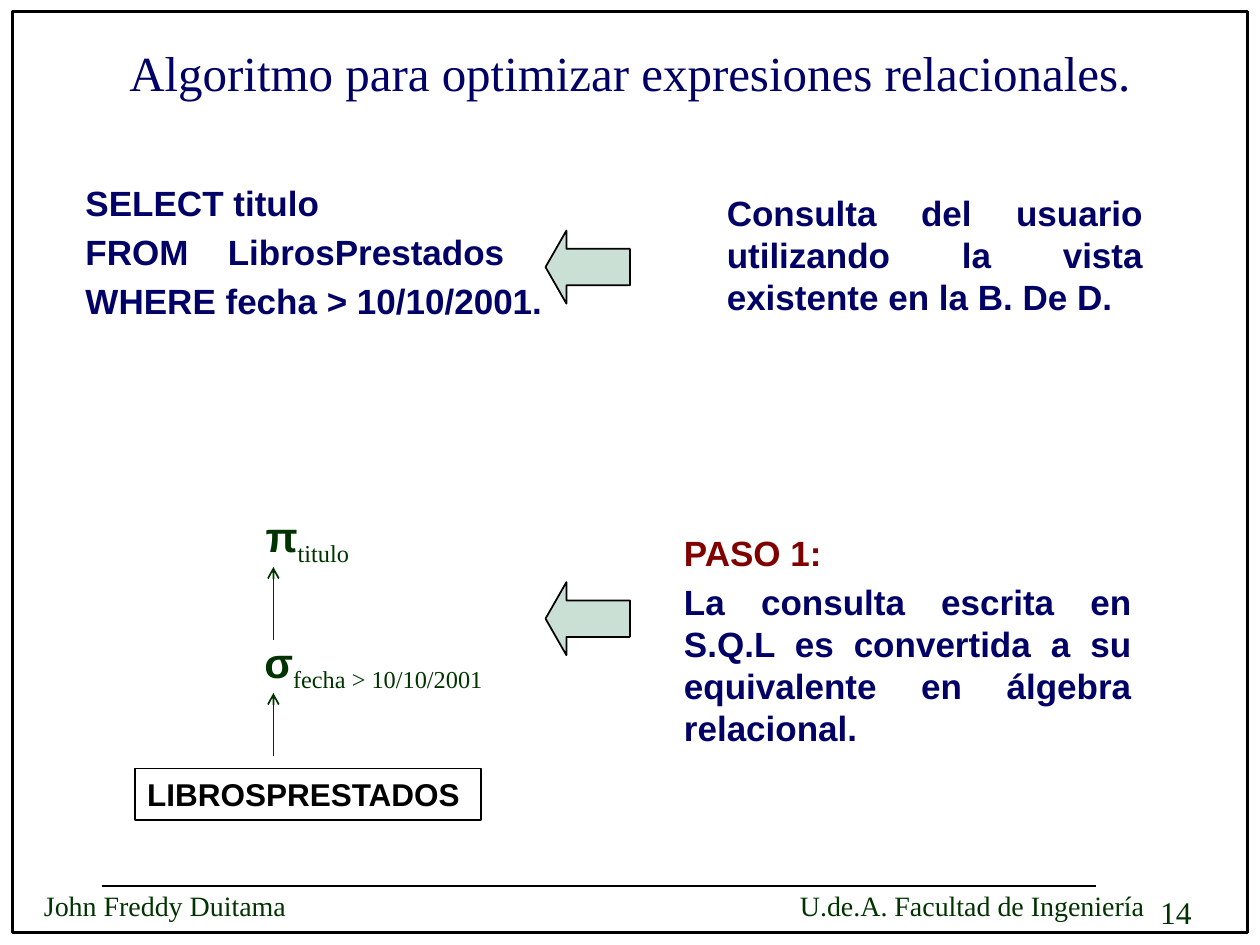
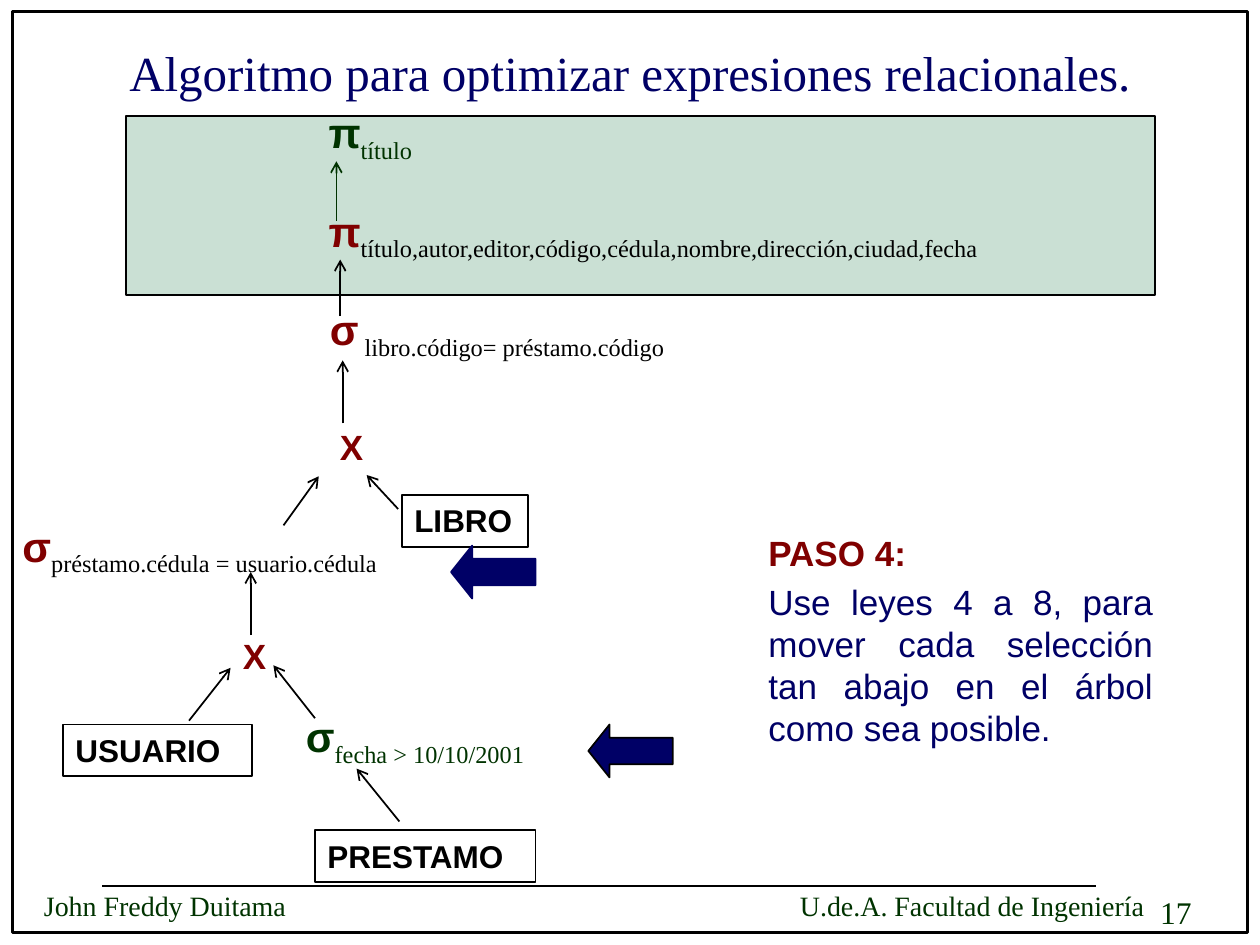
from dataclasses import dataclass

import lxml.etree
import pptx
import pptx.dml.color
import pptx.enum.shapes
import pptx.enum.text
import pptx.oxml.ns
import pptx.util

Inches = pptx.util.Inches
Align = pptx.enum.text.PP_ALIGN
Shapes = pptx.enum.shapes.MSO_SHAPE
qn = pptx.oxml.ns.qn

COLORS = {
    "navy": "000066",
    "green": "003300",
    "maroon": "800000",
    "mint": "CAE0D4",
    "black": "000000",
}
SANS, SERIF = "Arial", "Times New Roman"
TITLE = "Algoritmo para optimizar expresiones relacionales."


@dataclass
class Formula:
    """An operator of the query tree with its subscript."""
    left: float
    top: float
    symbol: str
    subscript: str
    color: str = "maroon"
    subscript_color: str = "black"


@dataclass
class Relation:
    left: float
    top: float
    width: float
    name: str


@dataclass
class TreeArrow:
    """A thin arrow whose head is at (x2, y2)."""
    x1: float
    y1: float
    x2: float
    y2: float
    color: str = "black"


@dataclass
class Pointer:
    """A block arrow pointing left."""
    left: float
    top: float
    height: float
    head: float
    fill: str
    line: str = "black"


@dataclass
class Line:
    """One paragraph of a text block."""
    text: str
    color: str = "navy"
    bold: bool = True
    tab: float = 0


def rgb(name: str) -> pptx.dml.color.RGBColor:
    return pptx.dml.color.RGBColor.from_string(COLORS[name])


# ---- Text ----
def write(paragraph, text: str, *, size: float = 20, font: str = SANS, color: str = "navy",
          bold: bool = False, align=Align.LEFT, before: float = 0, baseline: int = 0,
          tab: float = 0) -> None:
    run = paragraph.add_run()
    run.text = text
    run.font.size = pptx.util.Pt(size)
    run.font.name = font
    run.font.bold = bold
    run.font.color.rgb = rgb(color)
    paragraph.alignment = align
    paragraph.space_before = pptx.util.Pt(before)
    if baseline:
        run._r.get_or_add_rPr().set("baseline", str(baseline * 1000))
    if tab:
        stops = lxml.etree.SubElement(paragraph._p.get_or_add_pPr(), qn("a:tabLst"))
        lxml.etree.SubElement(stops, qn("a:tab"), pos=str(Inches(tab)), algn="l")


def add_text_frame(slide, left: float, top: float, width: float, height: float):
    box = slide.shapes.add_textbox(Inches(left), Inches(top), Inches(width), Inches(height))
    box.text_frame.word_wrap = True
    return box.text_frame


def add_text_block(slide, left: float, top: float, width: float, height: float,
                   lines: list[Line]) -> None:
    frame = add_text_frame(slide, left, top, width, height)
    for index, line in enumerate(lines):
        paragraph = frame.add_paragraph() if index else frame.paragraphs[0]
        write(paragraph, line.text, color=line.color, bold=line.bold, tab=line.tab,
              align=Align.JUSTIFY, before=4)


# ---- Shapes ----
def add_shape(slide, kind, left: float, top: float, width: float, height: float, *,
              fill: str = "", line: str = "black", weight: float = 1):
    shape = slide.shapes.add_shape(kind, Inches(left), Inches(top), Inches(width), Inches(height))
    shape.shadow.inherit = False
    if fill:
        shape.fill.solid()
        shape.fill.fore_color.rgb = rgb(fill)
    else:
        shape.fill.background()
    shape.line.color.rgb = rgb(line)
    shape.line.width = pptx.util.Pt(weight)
    return shape


def add_line(slide, x1: float, y1: float, x2: float, y2: float, *,
             color: str = "black", arrow: bool = False) -> None:
    connector = slide.shapes.add_connector(pptx.enum.shapes.MSO_CONNECTOR.STRAIGHT,
                                           Inches(x1), Inches(y1), Inches(x2), Inches(y2))
    connector.line.color.rgb = rgb(color)
    connector.line.width = pptx.util.Pt(1)
    properties = connector._element.spPr
    if arrow:
        lxml.etree.SubElement(properties.find(qn("a:ln")), qn("a:tailEnd"), type="arrow")
    lxml.etree.SubElement(properties, qn("a:effectLst"))


# ---- Parts of the query tree ----
def add_formula(slide, formula: Formula) -> None:
    paragraph = add_text_frame(slide, formula.left, formula.top, 6.5, 0.5).paragraphs[0]
    write(paragraph, formula.symbol, size=24, color=formula.color, bold=True)
    write(paragraph, formula.subscript, size=24, font=SERIF, color=formula.subscript_color,
          baseline=-25, align=Align.JUSTIFY, before=4.8)


def add_relation(slide, relation: Relation) -> None:
    shape = add_shape(slide, Shapes.RECTANGLE, relation.left, relation.top, relation.width, 0.41)
    frame = shape.text_frame
    frame.word_wrap = True
    frame.vertical_anchor = pptx.enum.text.MSO_ANCHOR.TOP
    write(frame.paragraphs[0], relation.name, size=18, color="black", bold=True,
          align=Align.JUSTIFY, before=3.6)


def add_product(slide, left: float, top: float) -> None:
    frame = add_text_frame(slide, left, top, 0.5, 0.43)
    write(frame.paragraphs[0], "X", color="maroon", bold=True, align=Align.JUSTIFY, before=4)


def add_tree_arrow(slide, arrow: TreeArrow) -> None:
    add_line(slide, arrow.x1, arrow.y1, arrow.x2, arrow.y2, color=arrow.color, arrow=True)


def add_pointer(slide, pointer: Pointer) -> None:
    shape = add_shape(slide, Shapes.LEFT_ARROW, pointer.left, pointer.top, 0.67, pointer.height,
                      fill=pointer.fill, line=pointer.line)
    shape.adjustments[0] = 0.5
    shape.adjustments[1] = pointer.head


# ---- Frame, footer and title of every slide ----
def add_base_slide(presentation, number: int):
    slide = presentation.slides.add_slide(presentation.slide_layouts[5])
    add_shape(slide, Shapes.RECTANGLE, 0.1, 0.09, 9.8, 7.31, weight=2)
    page = add_text_frame(slide, 9.11, 7.04, 0.77, 0.4)
    write(page.paragraphs[0], str(number), size=18, font=SERIF, color="green")
    footer = add_text_frame(slide, 0.25, 7, 9.25, 0.38)
    write(footer.paragraphs[0], "John Freddy Duitama\tU.de.A. Facultad de Ingeniería",
          size=16, font=SERIF, color="green", tab=6)
    add_line(slide, 0.81, 7.03, 8.7, 7.03)

    title = slide.shapes.title
    title.left, title.top = Inches(0.75), Inches(0.28)
    title.width, title.height = Inches(8.5), Inches(0.58)
    title.text_frame.auto_size = pptx.enum.text.MSO_AUTO_SIZE.NONE
    title.text_frame.vertical_anchor = pptx.enum.text.MSO_ANCHOR.MIDDLE
    write(title.text_frame.paragraphs[0], TITLE, size=28, font=SERIF, align=Align.CENTER)
    return slide


def build_step_one(presentation) -> None:
    slide = add_base_slide(presentation, 14)

    # Query tree
    add_relation(slide, Relation(1.07, 6.1, 2.75, "LIBROSPRESTADOS"))
    for formula in (
        Formula(2.01, 4, "π", "titulo", "green", "green"),
        Formula(2, 5, "σ", "fecha > 10/10/2001", "green", "green"),
    ):
        add_formula(slide, formula)
    for start, end in ((5.08, 4.5), (6, 5.5)):
        add_tree_arrow(slide, TreeArrow(2.17, start, 2.17, end, "green"))

    # Query and explanations
    add_text_block(slide, 5.67, 1.47, 3.5, 1.1, [
        Line("Consulta del usuario utilizando la vista existente en la B. De D."),
    ])
    add_text_block(slide, 5.33, 4.17, 3.75, 1.83, [
        Line("PASO 1:", "maroon"),
        Line("La consulta escrita en S.Q.L es convertida a su equivalente en álgebra relacional."),
    ])
    add_text_block(slide, 0.58, 1.39, 4.25, 2.11, [
        Line("SELECT titulo"),
        Line("FROM\tLibrosPrestados", tab=1.13),
        Line("WHERE fecha > 10/10/2001."),
    ])
    for top in (1.83, 4.62):
        add_pointer(slide, Pointer(4.33, top, 0.58, 0.286, "mint"))


def build_step_four(presentation) -> None:
    slide = add_base_slide(presentation, 17)
    add_shape(slide, Shapes.RECTANGLE, 1, 0.92, 8.17, 1.42, fill="mint")

    # Query tree
    for left, top in ((2.6, 3.33), (1.83, 4.99)):
        add_product(slide, left, top)
    for relation in (
        Relation(3.19, 3.93, 1, "LIBRO"),
        Relation(2.5, 6.59, 1.75, "PRESTAMO"),
        Relation(0.5, 5.75, 1.5, "USUARIO"),
    ):
        add_relation(slide, relation)
    for formula in (
        Formula(2.51, 0.8, "π", "título", "green", "green"),
        Formula(2.51, 1.58, "π", "título,autor,editor,código,cédula,nombre,dirección,ciudad,fecha"),
        Formula(2.52, 2.36, "σ", " libro.código= préstamo.código"),
        Formula(0.08, 4.08, "σ", "préstamo.cédula = usuario.cédula"),
        Formula(2.33, 5.59, "σ", "fecha > 10/10/2001", "green", "green"),
    ):
        add_formula(slide, formula)
    for arrow in (
        TreeArrow(2.67, 1.75, 2.67, 1.28, "green"),
        TreeArrow(2.7, 2.51, 2.7, 2.06),
        TreeArrow(2.72, 3.36, 2.72, 2.86),
        TreeArrow(2.25, 4.17, 2.53, 3.78),
        TreeArrow(3.16, 4.04, 2.91, 3.77),
        TreeArrow(1.99, 5.04, 1.99, 4.54),
        TreeArrow(1.5, 5.72, 1.83, 5.3),
        TreeArrow(2.5, 5.7, 2.17, 5.28),
        TreeArrow(3.17, 6.52, 2.83, 6.1),
    ):
        add_tree_arrow(slide, arrow)

    # Explanation
    add_text_block(slide, 6, 4.17, 3.25, 1.83, [
        Line("PASO 4:", "maroon"),
        Line("Use leyes 4 a 8, para mover cada selección tan abajo en el árbol "
             "como sea posible.", bold=False),
    ])
    add_pointer(slide, Pointer(4.67, 5.75, 0.42, 0.4, "navy"))
    add_pointer(slide, Pointer(3.58, 4.33, 0.42, 0.4, "navy", "navy"))


presentation = pptx.Presentation()
presentation.slide_width = Inches(10)
presentation.slide_height = Inches(7.5)
build_step_one(presentation)
build_step_four(presentation)
presentation.save("out.pptx")
